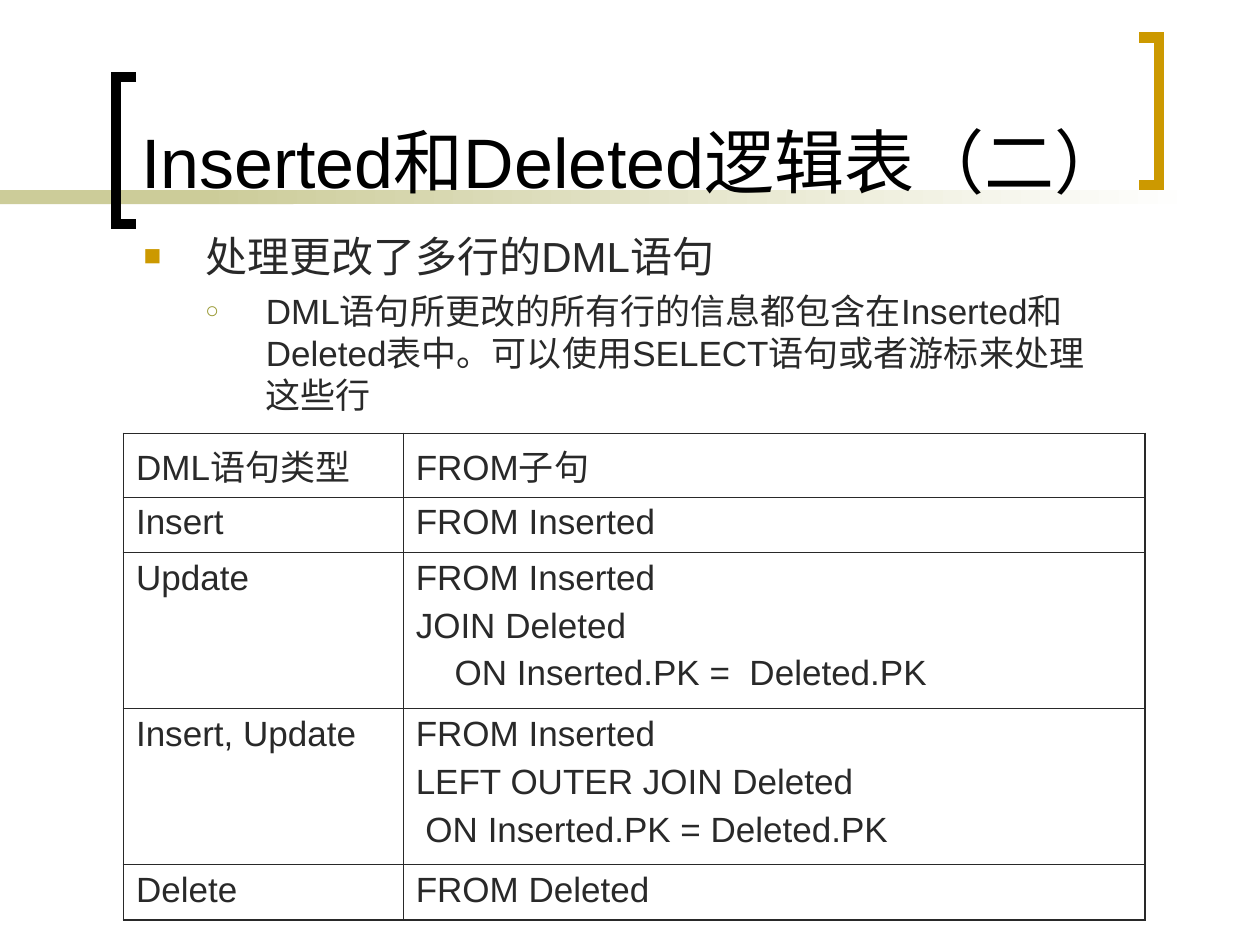
import pptx
import pptx.util
import pptx.dml.color
import pptx.enum.shapes
import pptx.enum.text
import pptx.oxml
import pptx.oxml.ns
import lxml.etree

Inches = pptx.util.Inches
Pt = pptx.util.Pt
INK = "292929"
OLIVE = "CCCC99"
GOLD = "CC9900"


def color(hex_text):
    return pptx.dml.color.RGBColor.from_string(hex_text)


def add_xml(parent, tag, **attributes):
    return lxml.etree.SubElement(parent, pptx.oxml.ns.qn(tag), attributes)


deck = pptx.Presentation()
deck.slide_width = Inches(10)
deck.slide_height = Inches(7.5)
slide = deck.slides.add_slide(deck.slide_layouts[1])
shapes = slide.shapes
title, body = slide.placeholders

band_start = shapes.add_shape(
    pptx.enum.shapes.MSO_SHAPE.RECTANGLE, 0, Inches(1.51), Inches(2.33), Inches(0.11))
band_start.fill.solid()
band_start.fill.fore_color.rgb = color(OLIVE)
band_fade = shapes.add_shape(
    pptx.enum.shapes.MSO_SHAPE.RECTANGLE, Inches(1.58), Inches(1.51), Inches(7.92), Inches(0.11))
band_fade.fill.gradient()
band_fade.fill.gradient_angle = 180
for stop, stop_color in zip(band_fade.fill.gradient_stops, ["FFFFFF", OLIVE]):
    stop.color.rgb = color(stop_color)
for band in [band_start, band_fade]:
    band.line.fill.background()
    band.shadow.inherit = False

for tip_x, spine_x, top, bracket_color in [(1.08, 0.92, 0.61, "000000"), (9.04, 9.2, 0.3, GOLD)]:
    bottom = top + 1.17
    outline = shapes.build_freeform(Inches(tip_x), Inches(top))
    outline.add_line_segments(
        [(Inches(x), Inches(y)) for x, y in [(spine_x, top), (spine_x, bottom), (tip_x, bottom)]],
        close=False)
    bracket = outline.convert_to_shape()
    bracket.fill.background()
    bracket.line.color.rgb = color(bracket_color)
    bracket.line.width = Pt(6)
    add_xml(bracket.line._get_or_add_ln(), "a:miter", lim="800000")
    bracket.shadow.inherit = False

for placeholder, box, anchor in [
    (title, (1.02, 0.11, 8.15, 1.55), pptx.enum.text.MSO_ANCHOR.BOTTOM),
    (body, (1.04, 1.78, 7.9, 1.65), pptx.enum.text.MSO_ANCHOR.TOP),
]:
    placeholder.left, placeholder.top, placeholder.width, placeholder.height = map(Inches, box)
    placeholder.text_frame.vertical_anchor = anchor
    placeholder.text_frame.auto_size = pptx.enum.text.MSO_AUTO_SIZE.NONE
    placeholder.text_frame.word_wrap = True
    shapes.element.append(placeholder.element)

heading = title.text_frame.paragraphs[0]
heading.alignment = pptx.enum.text.PP_ALIGN.LEFT
heading.add_run().text = "Inserted和Deleted逻辑表（二）"
heading.font.size = Pt(40)
heading.font.name = "Arial"
heading.font.color.rgb = color("000000")

points = [
    ("处理更改了多行的DML语句", 24, 0, 0.49, -0.49, "■", GOLD, "70000"),
    ("DML语句所更改的所有行的信息都包含在Inserted和Deleted表中。可以使用SELECT语句或者游标来处理这些行",
     20, 5, 0.97, -0.48, "○", "999933", "65000"),
]
for level, (text, size, before, margin, indent, mark, mark_color, mark_size) in enumerate(points):
    point = body.text_frame.add_paragraph() if level else body.text_frame.paragraphs[0]
    point.level = level
    properties = point._p.get_or_add_pPr()
    properties.set("marL", str(Inches(margin)))
    properties.set("indent", str(Inches(indent)))
    add_xml(add_xml(properties, "a:buClr"), "a:srgbClr", val=mark_color)
    add_xml(properties, "a:buSzPct", val=mark_size)
    add_xml(properties, "a:buFont", typeface="Arial")
    add_xml(properties, "a:buChar", char=mark)
    point.space_before = Pt(before)
    point.add_run().text = text
    point.font.size = Pt(size)
    point.font.name = "Arial"
    point.font.color.rgb = color(INK)

clauses = [
    ("DML语句类型", ["FROM子句"]),
    ("Insert", ["FROM Inserted"]),
    ("Update", ["FROM Inserted", "JOIN Deleted", "    ON Inserted.PK =  Deleted.PK"]),
    ("Insert, Update",
     ["FROM Inserted", "LEFT OUTER JOIN Deleted", " ON Inserted.PK = Deleted.PK"]),
    ("Delete", ["FROM Deleted"]),
]
last_row = len(clauses) - 1
table = shapes.add_table(
    len(clauses), 2, Inches(0.98), Inches(3.44), Inches(8.11), Inches(3.8)).table
table.first_row = False
table.horz_banding = False
table.columns[0].width = Inches(2.22)
table.columns[1].width = Inches(5.89)

for row, (statement, clause) in enumerate(clauses):
    table.rows[row].height = Inches(1.24 if len(clause) > 1 else 0.44)
    for column, lines in enumerate([[statement], clause]):
        cell = table.cell(row, column)
        cell.margin_left = cell.margin_right = Inches(0.1)
        cell.margin_top = cell.margin_bottom = Inches(0.05)
        cell_properties = cell._tc.get_or_add_tcPr()
        for side, is_outer in [("L", column == 0), ("R", column == 1),
                               ("T", row == 0), ("B", row == last_row)]:
            border = add_xml(cell_properties, "a:ln" + side,
                             w=str(Pt(1.08 if is_outer else 0.45)))
            add_xml(add_xml(border, "a:solidFill"), "a:srgbClr", val=INK)
        cell.fill.background()
        for number, text in enumerate(lines):
            line = cell.text_frame.add_paragraph() if number else cell.text_frame.paragraphs[0]
            line.space_before = Pt(5 if number else 0)
            line.add_run().text = text
            line.font.size = Pt(20)
            line.font.name = "Arial"
            line.font.color.rgb = color(INK)

deck.save("out.pptx")
